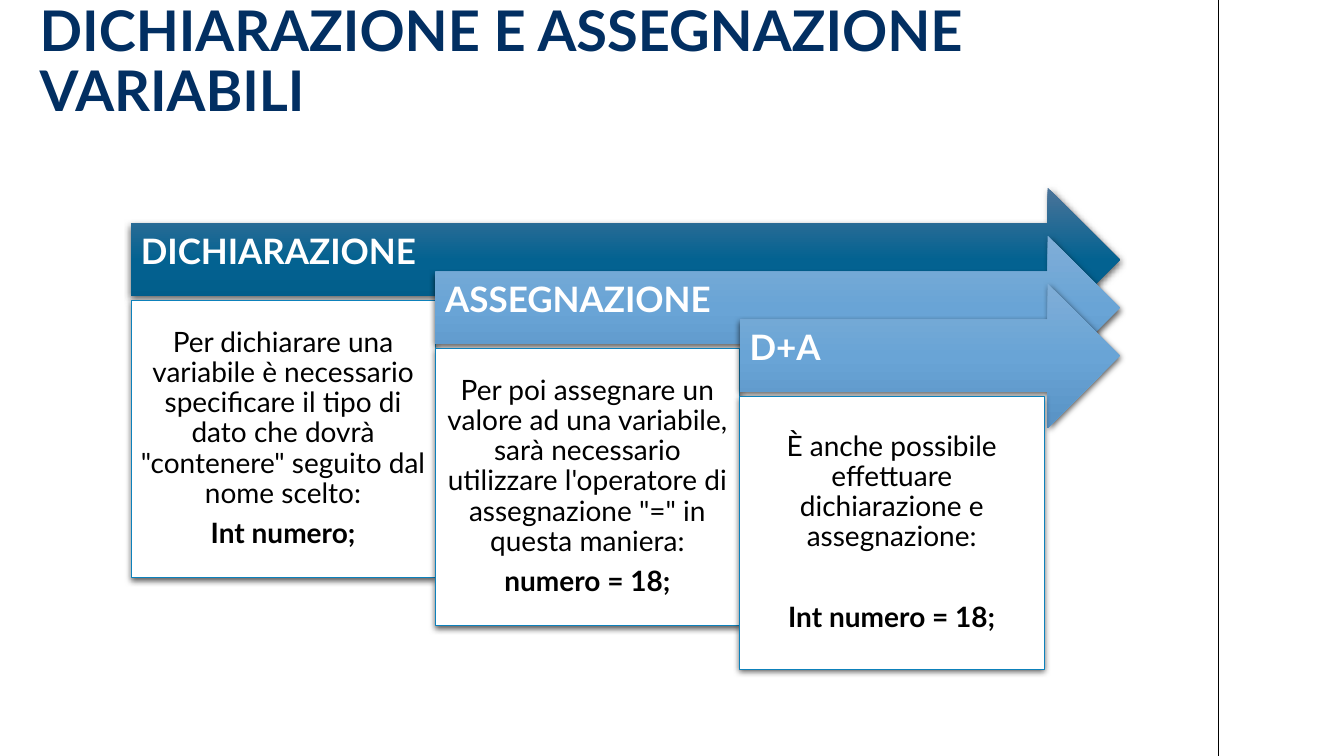
from copy import deepcopy

from pptx import Presentation, util as u
from pptx.dml.color import RGBColor
from pptx.enum import shapes, text
from pptx.oxml import parse_xml
from pptx.oxml.ns import nsdecls, qn

COLORS = {"title": "022F62", "text": "000000", "white": "FFFFFF", "card_line": "0D81BB", "rule": "000000"}
DARK_BLUE = ("4B7499", "036291", "005883")
LIGHT_BLUE = ("80AED7", "69A4D6", "5892C4")
SHADOW = (
    f'<a:effectLst {nsdecls("a")}><a:outerShdw blurRad="57150" dist="19050" dir="5400000" '
    'algn="ctr" rotWithShape="0"><a:srgbClr val="000000"><a:alpha val="63000"/></a:srgbClr>'
    "</a:outerShdw></a:effectLst>"
)
STEPS = [
    {
        "heading": "DICHIARAZIONE",
        "gradient": DARK_BLUE,
        "explanation": "Per dichiarare una variabile è necessario specificare il tipo di dato "
        "che dovrà \"contenere\" seguito dal nome scelto:",
        "code": "Int numero;",
        "card_height": 6.99,
        "code_gap": 0,
    },
    {
        "heading": "ASSEGNAZIONE",
        "gradient": LIGHT_BLUE,
        "explanation": "Per poi assegnare un valore ad una variabile, sarà necessario utilizzare "
        "l'operatore di assegnazione \"=\" in questa maniera:",
        "code": "numero = 18;",
        "card_height": 6.99,
        "code_gap": 0,
    },
    {
        "heading": "D+A",
        "gradient": LIGHT_BLUE,
        "explanation": "È anche possibile effettuare dichiarazione e assegnazione:",
        "code": "Int numero = 18;",
        "card_height": 6.88,
        "code_gap": 28.6,
    },
]


def rgb(name):
    """Return the named palette colour."""
    return RGBColor.from_string(COLORS[name])


def write(paragraph, wording, size=20, color="text", bold=False, align="LEFT", before=0, after=0):
    """Put formatted wording in a paragraph."""
    paragraph.alignment = getattr(text.PP_ALIGN, align)
    paragraph.line_spacing = 0.9
    paragraph.space_before = u.Pt(before)
    paragraph.space_after = u.Pt(after)
    run = paragraph.add_run()
    run.text = wording
    run.font.name = "Lato"
    run.font.size = u.Pt(size)
    run.font.bold = bold
    run.font.color.rgb = rgb(color)


def prepare_frame(shape, insets, anchor="MIDDLE"):
    """Set wrapping, anchor and insets (left, top, right, bottom in cm)."""
    frame = shape.text_frame
    frame.word_wrap = True
    frame.auto_size = text.MSO_AUTO_SIZE.NONE
    frame.vertical_anchor = getattr(text.MSO_ANCHOR, anchor)
    frame.margin_left, frame.margin_top, frame.margin_right, frame.margin_bottom = map(u.Cm, insets)
    return frame


def add_shadowed(slide, preset, left, top, width, height):
    """Add a preset shape with a soft shadow below it."""
    shape = slide.shapes.add_shape(preset, *map(u.Cm, (left, top, width, height)))
    shape._element.spPr.append(parse_xml(SHADOW))
    return shape


def add_arrow(slide, left, top, width, height, heading, gradient):
    """Draw a step's arrow with its heading."""
    arrow = add_shadowed(slide, shapes.MSO_SHAPE.RIGHT_ARROW, left, top, width, height)
    arrow.line.fill.background()
    arrow.fill.gradient()
    arrow.fill.gradient_angle = 270
    stop_list = arrow._element.spPr.find(".//" + qn("a:gsLst"))
    stop_list.append(deepcopy(stop_list[0]))
    for stop, position, shade in zip(arrow.fill.gradient_stops, (0, 0.5, 1), gradient):
        stop.color.rgb = RGBColor.from_string(shade)
        stop.position = position
    frame = prepare_frame(arrow, (0.25, 0.25, 0.71, 0.58))
    write(frame.paragraphs[0], heading, size=25, color="white", bold=True, after=8.75)


def add_card(slide, left, top, width, height, explanation, code, code_gap):
    """Draw a step's card with its explanation and code."""
    card = add_shadowed(slide, shapes.MSO_SHAPE.RECTANGLE, left, top, width, height)
    card.fill.solid()
    card.fill.fore_color.rgb = rgb("white")
    card.line.color.rgb = rgb("card_line")
    card.line.width = u.Pt(0.5)
    frame = prepare_frame(card, (0.2, 0.2, 0.2, 0.2))
    write(frame.paragraphs[0], explanation, align="CENTER", after=7)
    write(frame.add_paragraph(), code, bold=True, align="CENTER", before=code_gap, after=7)


def add_steps(slide, left, top, width, card_width=7.67, drop=1.21, arrow_height=3.63, card_offset=2.83):
    """Lay out the steps as a descending staircase of arrows and cards."""
    for index, step in enumerate(STEPS):
        step_left = left + index * card_width
        step_top = top + index * drop
        add_arrow(slide, step_left, step_top, left + width - step_left, arrow_height,
                  step["heading"], step["gradient"])
        add_card(slide, step_left, step_top + card_offset, card_width, step["card_height"],
                 step["explanation"], step["code"], step["code_gap"])


def add_title(slide, left, top, width, height):
    """Place and format the title placeholder."""
    title = slide.shapes.title
    title.left, title.top, title.width, title.height = map(u.Cm, (left, top, width, height))
    frame = prepare_frame(title, (0, 0.13, 0, 0.13), anchor="BOTTOM")
    write(frame.paragraphs[0], "DICHIARAZIONE E ASSEGNAZIONE VARIABILI", size=40, color="title", bold=True)


def add_side_rule(slide, left, height):
    """Draw the vertical rule near the right edge."""
    rule = slide.shapes.add_connector(shapes.MSO_CONNECTOR.STRAIGHT, u.Cm(left), 0, u.Cm(left), height)
    rule.line.color.rgb = rgb("rule")
    rule.line.width = u.Pt(1)
    rule._element.spPr.append(parse_xml(f'<a:effectLst {nsdecls("a")}/>'))


def main():
    """Build and save the slide."""
    deck = Presentation()
    deck.slide_width, deck.slide_height = u.Cm(33.87), u.Cm(19.05)
    slide = deck.slides.add_slide(deck.slide_layouts[5])
    add_side_rule(slide, 30.71, deck.slide_height)
    add_title(slide, 1, 0.38, 29.57, 2.87)
    add_steps(slide, 3.3, 4.73, 24.92)
    deck.save("out.pptx")


if __name__ == "__main__":
    main()
